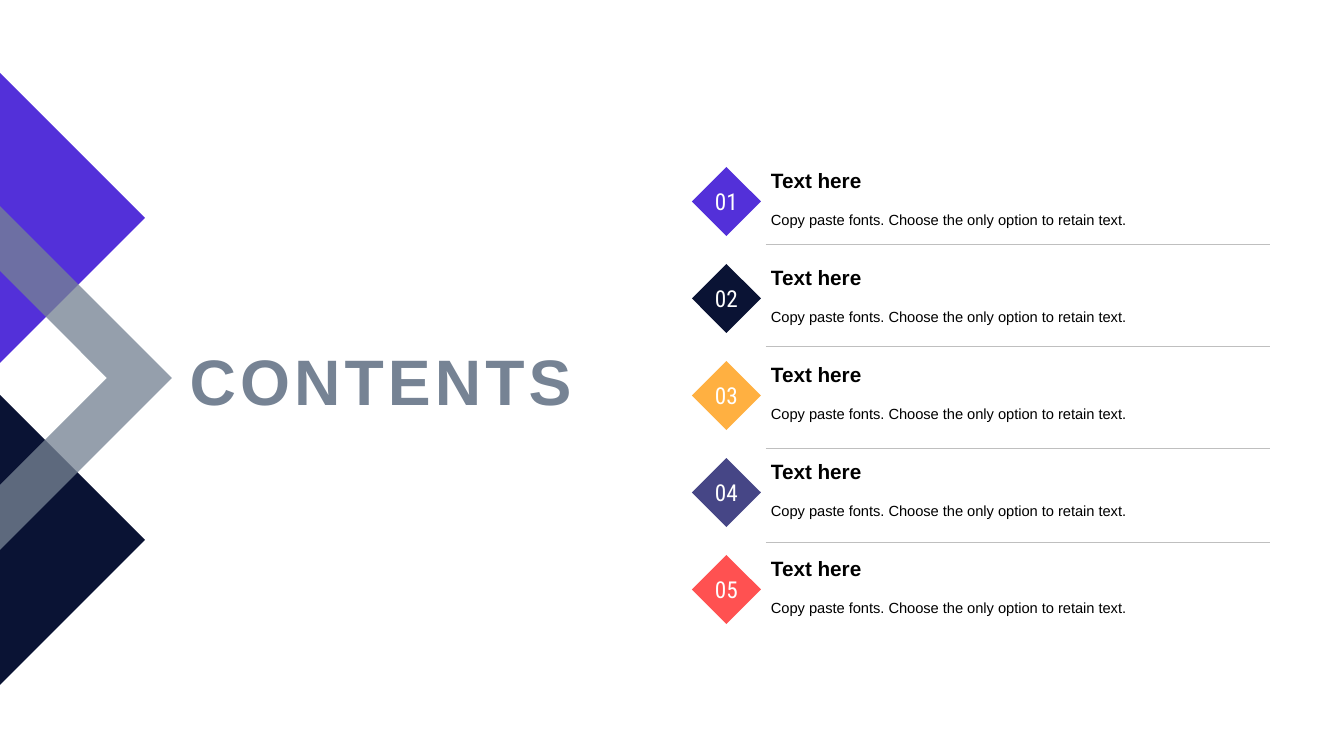
import pptx
import pptx.util
import pptx.dml.color
import pptx.enum.shapes
import pptx.enum.text
import pptx.oxml
import pptx.oxml.ns

PX = 914400 / 100.8
COLORS = {
    "violet": "5330D9", "navy": "0A1334", "amber": "FFB041", "indigo": "464686",
    "coral": "FF5151", "slate": "768394", "rule": "BFBFBF", "white": "FFFFFF",
    "black": "000000",
}
ALIGN = pptx.enum.text.PP_ALIGN
ANCHOR = pptx.enum.text.MSO_ANCHOR


def px(*lengths):
    return [pptx.util.Emu(round(length * PX)) for length in lengths]


def write(shape, text, color, align, anchor, wrap, line_spacing, **font_values):
    frame = shape.text_frame
    frame.auto_size = pptx.enum.text.MSO_AUTO_SIZE.NONE
    frame.word_wrap = wrap
    frame.vertical_anchor = anchor
    frame.margin_left, frame.margin_right, frame.margin_top, frame.margin_bottom = px(10, 10, 5, 5)
    paragraph = frame.paragraphs[0]
    paragraph.alignment = align
    paragraph.line_spacing = line_spacing
    run = paragraph.add_run()
    run.text = text
    run.font.color.rgb = pptx.dml.color.RGBColor.from_string(COLORS[color])
    for name, value in font_values.items():
        setattr(run.font, name, value)
    return run


presentation = pptx.Presentation()
presentation.slide_width, presentation.slide_height = px(1344, 756)
slide = presentation.slides.add_slide(presentation.slide_layouts[5])
shapes = slide.shapes

# Left-edge arrows: colour, opacity in percent, corner points
arrows = [
    ("navy", 100, [(0, 395), (145, 540), (0, 685)]),
    ("violet", 100, [(0, 73), (145, 218), (0, 363)]),
    ("slate", 77, [(0, 206), (172, 378), (0, 550), (0, 485), (107, 378), (0, 271)]),
]
for color, opacity, points in arrows:
    builder = shapes.build_freeform(*points[0], scale=PX)
    builder.add_line_segments(points[1:], close=True)
    arrow = builder.convert_to_shape()
    arrow.shadow.inherit = False
    arrow.line.fill.background()
    arrow.fill.solid()
    arrow.fill.fore_color.rgb = pptx.dml.color.RGBColor.from_string(COLORS[color])
    if opacity < 100:
        fill_color = arrow.fill._xPr.find(".//" + pptx.oxml.ns.qn("a:srgbClr"))
        fill_color.append(pptx.oxml.parse_xml(
            f'<a:alpha {pptx.oxml.ns.nsdecls("a")} val="{opacity * 1000}"/>'))

# Title
title = shapes.title
title.left, title.top, title.width, title.height = px(170, 329, 412, 102)
title_run = write(title, "CONTENTS", "slate", ALIGN.RIGHT, ANCHOR.MIDDLE, True, 1.0,
                  name="Arial", size=pptx.util.Pt(45.9), bold=True)
title_run.font._element.set("spc", "300")

# Numbered entries
for index, color in enumerate(["violet", "navy", "amber", "indigo", "coral"]):
    offset = 97 * index
    diamond = shapes.add_shape(pptx.enum.shapes.MSO_SHAPE.DIAMOND, *px(692, 167 + offset, 69, 69))
    diamond.shadow.inherit = False
    diamond.line.fill.background()
    diamond.fill.solid()
    diamond.fill.fore_color.rgb = pptx.dml.color.RGBColor.from_string(COLORS[color])
    write(diamond, f"{index + 1:02d}", "white", ALIGN.CENTER, ANCHOR.MIDDLE, False, 1.0,
          name="Roboto Condensed", size=pptx.util.Pt(16.6))

    heading = shapes.add_textbox(*px(761, 165 + offset, 436, 33))
    write(heading, "Text here", "black", ALIGN.LEFT, ANCHOR.BOTTOM, False, 1.0,
          name="Arial", size=pptx.util.Pt(14.8), bold=True)

    description = shapes.add_textbox(*px(761, 200 + offset, 436, 35))
    write(description, "Copy paste fonts. Choose the only option to retain text.", "black",
          ALIGN.LEFT, ANCHOR.MIDDLE, True, 1.2, name="Arial", size=pptx.util.Pt(10.5))

# Rules between entries
for y in [244, 346, 448, 542]:
    rule = shapes.add_connector(pptx.enum.shapes.MSO_CONNECTOR.STRAIGHT, *px(766, y, 1270, y))
    rule.line.width = pptx.util.Pt(0.25)
    rule.line.color.rgb = pptx.dml.color.RGBColor.from_string(COLORS["rule"])
    rule._element.spPr.append(pptx.oxml.parse_xml(
        f'<a:effectLst {pptx.oxml.ns.nsdecls("a")}/>'))

presentation.save("out.pptx")
